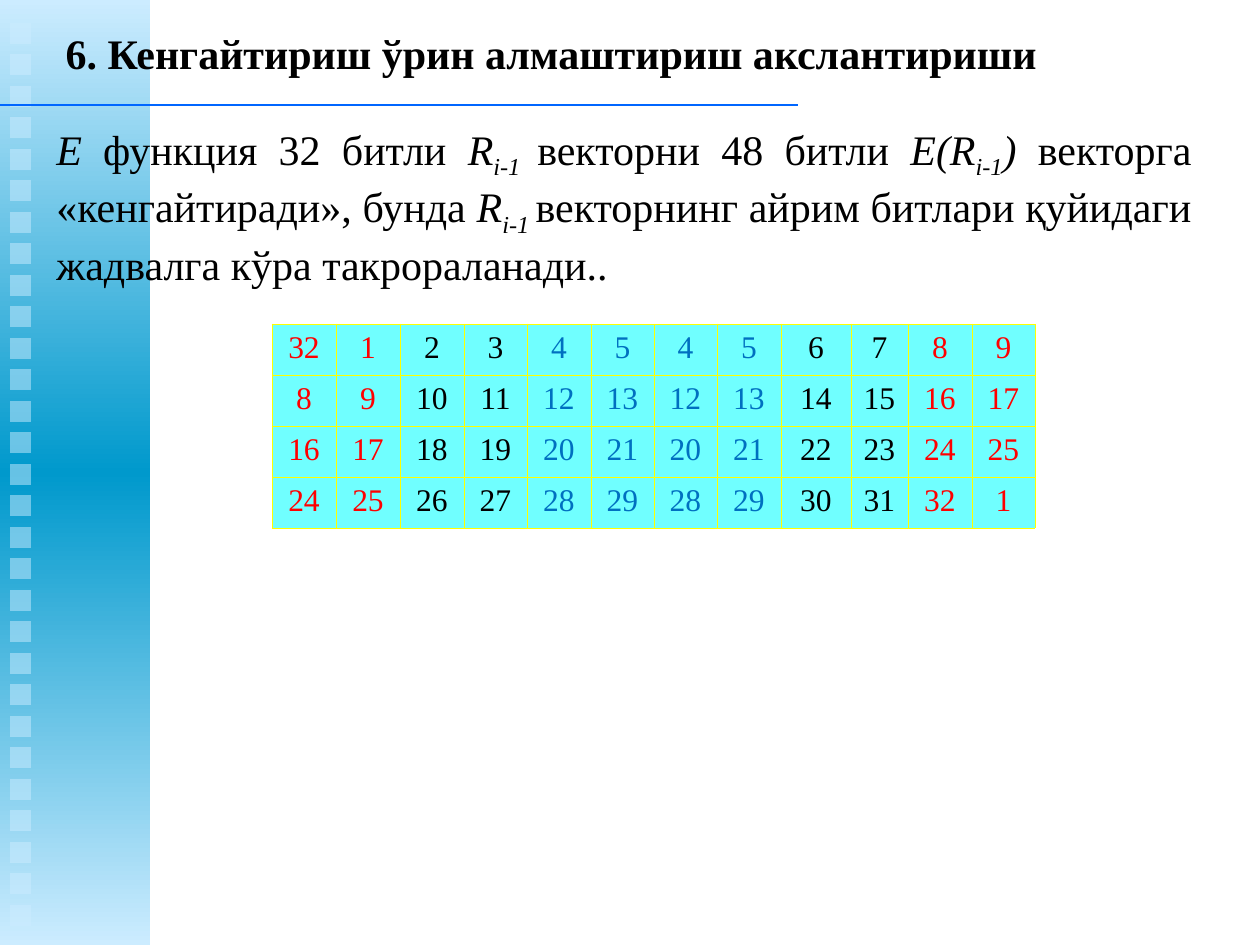
import copy

import pptx
import pptx.util
import pptx.dml.color
import pptx.enum.shapes
import pptx.enum.text
import pptx.oxml.ns
from lxml import etree

RGB = pptx.dml.color.RGBColor
ALIGN = pptx.enum.text.PP_ALIGN
ANCHOR = pptx.enum.text.MSO_ANCHOR
RECT = pptx.enum.shapes.MSO_SHAPE.RECTANGLE
qn = pptx.oxml.ns.qn

# Content
TITLE = "6. Кенгайтириш ўрин алмаштириш акслантириши"
PLAIN, ITALIC, SUB = "plain", "italic", "sub"
BODY = [
    ("Е", ITALIC), (" функция 32 битли ", PLAIN),
    ("R", ITALIC), ("i-1 ", SUB), ("векторни 48 битли ", PLAIN),
    ("Е(R", ITALIC), ("i-1", SUB), (")", ITALIC),
    (" векторга «кенгайтиради», бунда ", PLAIN),
    ("R", ITALIC), ("i-1 ", SUB),
    ("векторнинг айрим битлари қуйидаги жадвалга кўра такрораланади..", PLAIN),
]
BITS = [
    [32, 1, 2, 3, 4, 5, 4, 5, 6, 7, 8, 9],
    [8, 9, 10, 11, 12, 13, 12, 13, 14, 15, 16, 17],
    [16, 17, 18, 19, 20, 21, 20, 21, 22, 23, 24, 25],
    [24, 25, 26, 27, 28, 29, 28, 29, 30, 31, 32, 1],
]

# Look
FONT = "Times New Roman"
BLACK = RGB(0x00, 0x00, 0x00)
RED = RGB(0xFF, 0x00, 0x00)
BLUE = RGB(0x00, 0x70, 0xC0)
CYAN = RGB(0x70, 0xFF, 0xFF)
YELLOW = RGB(0xFF, 0xFF, 0x00)
PALE = RGB(0xCC, 0xEC, 0xFF)
DEEP = RGB(0x00, 0x99, 0xCC)
RULE = RGB(0x00, 0x66, 0xFF)
INKS = [RED] * 2 + [BLACK] * 2 + [BLUE] * 4 + [BLACK] * 2 + [RED] * 2
COLS = [64, 64, 64, 63, 64, 63, 63, 64, 70, 57, 64, 63]
ROW = 51
SQUARES = 29


def px(n):
    return round(n * 914400 / 126)


def box(*nums):
    return [px(n) for n in nums]


def style(para, size, color, align):
    para.alignment = align
    para.font.name = FONT
    para.font.size = pptx.util.Pt(size)
    para.font.color.rgb = color


def block(*nums):
    shape = slide.shapes.add_shape(RECT, *box(*nums))
    shape.shadow.inherit = False
    shape.line.fill.background()
    return shape


def border(cell):
    props = cell._tc.get_or_add_tcPr()
    for side in ("lnL", "lnR", "lnT", "lnB"):
        line = etree.SubElement(props, qn("a:" + side), w="5715")
        fill = etree.SubElement(line, qn("a:solidFill"))
        etree.SubElement(fill, qn("a:srgbClr"), val=str(YELLOW))


prs = pptx.Presentation()
prs.slide_width, prs.slide_height = box(1260, 945)
slide = prs.slides.add_slide(prs.slide_layouts[5])

# Side band, light at both ends
band = block(0, 0, 150, 945)
band.fill.gradient()
band.fill.gradient_angle = 90
stops = band._element.spPr.find(".//" + qn("a:gsLst"))
stops.append(copy.deepcopy(stops[0]))
for stop, color, place in zip(band.fill.gradient_stops,
                              (PALE, DEEP, PALE), (0, 0.5, 1)):
    stop.color.rgb = color
    stop.position = place

# Half-clear squares down the band
for i in range(SQUARES):
    square = block(10, 23 + i * 63 // 2, 21, 21)
    square.fill.solid()
    square.fill.fore_color.rgb = PALE
    tint = square._element.spPr.find(".//" + qn("a:srgbClr"))
    etree.SubElement(tint, qn("a:alpha"), val="50000")

# Rule under the title
rule = slide.shapes.add_connector(
    pptx.enum.shapes.MSO_CONNECTOR.STRAIGHT, *box(0, 105, 798, 105))
rule.line.color.rgb = RULE
rule.line.width = pptx.util.Pt(0.75)
etree.SubElement(rule._element.spPr, qn("a:effectLst"))

# Title, raised above the band
title = slide.shapes.title
slide.shapes._spTree.append(title._element)
title.left, title.top, title.width, title.height = box(53, 21, 1143, 63)
frame = title.text_frame
frame.text = TITLE
frame.word_wrap = True
frame.auto_size = pptx.enum.text.MSO_AUTO_SIZE.NONE
frame.vertical_anchor = ANCHOR.TOP
para = frame.paragraphs[0]
para.space_before = pptx.util.Pt(0)
style(para, 24, BLACK, ALIGN.LEFT)
para.font.bold = True

# Body text
frame = slide.shapes.add_textbox(*box(44, 117, 1160, 178)).text_frame
frame.word_wrap = True
frame.vertical_anchor = ANCHOR.MIDDLE
para = frame.paragraphs[0]
style(para, 24, BLACK, ALIGN.JUSTIFY)
for text, kind in BODY:
    run = para.add_run()
    run.text = text
    run.font.italic = kind != PLAIN
    if kind == SUB:
        run.font._element.set("baseline", "-25000")

# Table of bits
table = slide.shapes.add_table(
    len(BITS), len(COLS),
    *box(272, 324, sum(COLS), ROW * len(BITS))).table
table.first_row = table.horz_banding = False
for col, width in zip(table.columns, COLS):
    col.width = px(width)
for r, bits in enumerate(BITS):
    table.rows[r].height = px(ROW)
    for c, bit in enumerate(bits):
        cell = table.cell(r, c)
        cell.text = str(bit)
        style(cell.text_frame.paragraphs[0], 18, INKS[c], ALIGN.CENTER)
        border(cell)
        cell.fill.solid()
        cell.fill.fore_color.rgb = CYAN

prs.save("out.pptx")
